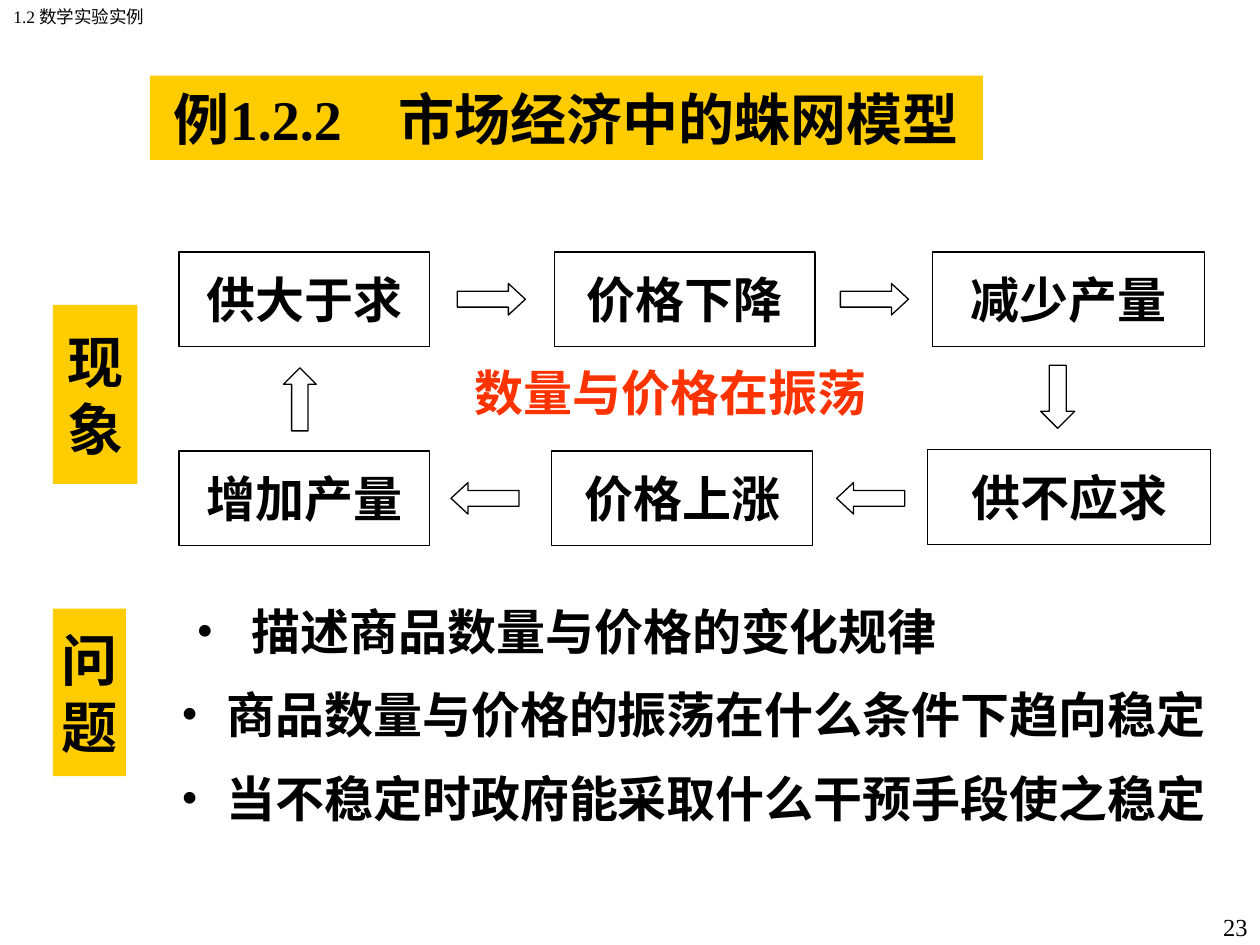
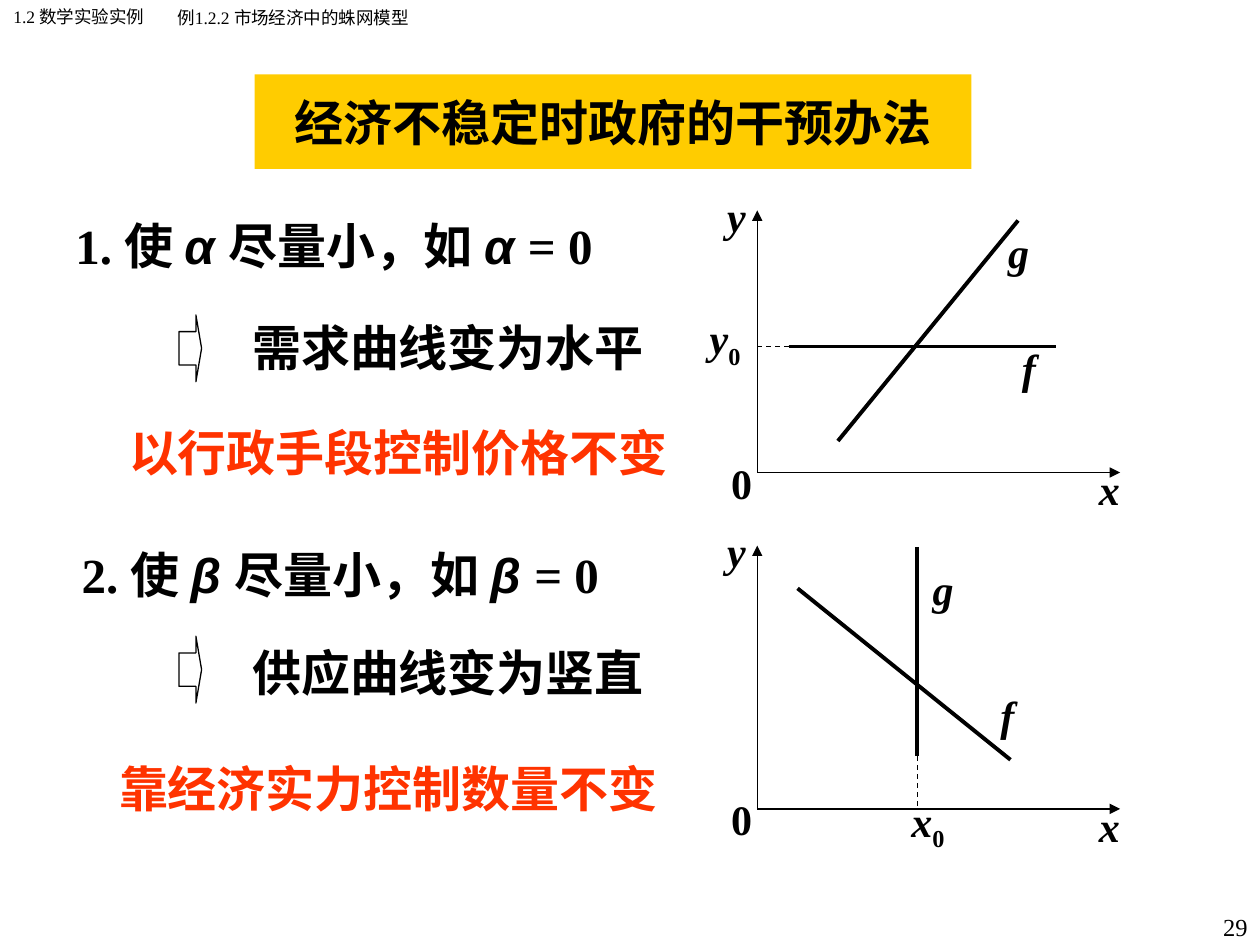
from dataclasses import dataclass

from lxml import etree
from pptx import Presentation
from pptx.dml.color import RGBColor
from pptx.enum.dml import MSO_LINE
from pptx.enum.shapes import MSO_CONNECTOR, MSO_SHAPE
from pptx.enum.text import MSO_ANCHOR, MSO_AUTO_SIZE, PP_ALIGN
from pptx.oxml.ns import qn
from pptx.util import Inches, Pt

LEFT, CENTER, RIGHT = PP_ALIGN.LEFT, PP_ALIGN.CENTER, PP_ALIGN.RIGHT
TOP, MIDDLE = MSO_ANCHOR.TOP, MSO_ANCHOR.MIDDLE
RECTANGLE = MSO_SHAPE.RECTANGLE
RIGHT_ARROW, LEFT_ARROW = MSO_SHAPE.RIGHT_ARROW, MSO_SHAPE.LEFT_ARROW
UP_ARROW, DOWN_ARROW = MSO_SHAPE.UP_ARROW, MSO_SHAPE.DOWN_ARROW
TITLE = "title"


@dataclass(frozen=True)
class Theme:
    ink: RGBColor = RGBColor(0x00, 0x00, 0x00)
    band: RGBColor = RGBColor(0xFF, 0xCC, 0x00)
    accent: RGBColor = RGBColor(0xFF, 0x33, 0x00)
    font: str = "Times New Roman"
    greek_font: str = "Arial"
    heading: int = 32
    body: int = 28
    label: int = 24
    number: int = 14
    header: int = 10
    thin: float = 0.75
    thick: float = 2.25


theme = Theme()


def add_box(page, frame, paragraphs=(), kind=None, size=theme.body, color=theme.ink,
            fill=None, outlined=False, align=CENTER, anchor=MIDDLE, wrap=False, bold=True):
    """Add a text box, preset shape or title; a paragraph is a list of (text, style)."""
    left, top, width, height = (Inches(value) for value in frame)
    if kind == TITLE:
        box = page.shapes.title
        box.left, box.top, box.width, box.height = left, top, width, height
    elif kind is None:
        box = page.shapes.add_textbox(left, top, width, height)
    else:
        box = page.shapes.add_shape(kind, left, top, width, height)
        box.shadow.inherit = False
    if fill is None:
        box.fill.background()
    else:
        box.fill.solid()
        box.fill.fore_color.rgb = fill
    if outlined:
        box.line.color.rgb = theme.ink
        box.line.width = Pt(theme.thin)
    else:
        box.line.fill.background()
    text_frame = box.text_frame
    text_frame.auto_size = MSO_AUTO_SIZE.NONE
    text_frame.word_wrap = wrap
    text_frame.vertical_anchor = anchor
    for index, runs in enumerate(paragraphs):
        para = text_frame.add_paragraph() if index else text_frame.paragraphs[0]
        para.alignment = align
        for text, style in [(runs, "")] if isinstance(runs, str) else runs:
            span = para.add_run()
            span.text = text
            span.font.name = theme.greek_font if style == "greek" else theme.font
            span.font.size = Pt(size)
            span.font.bold = bold
            span.font.italic = style in ("greek", "italic")
            span.font.color.rgb = color
            if style == "subscript":
                span.font._element.set("baseline", "-25000")
    return box


def add_line(page, start, end, width=theme.thin, arrow=False, dashed=False):
    line = page.shapes.add_connector(
        MSO_CONNECTOR.STRAIGHT, *(Inches(value) for value in (*start, *end)))
    line.line.color.rgb = theme.ink
    line.line.width = Pt(width)
    if dashed:
        line.line.dash_style = MSO_LINE.DASH
    if arrow:
        etree.SubElement(line.line._get_or_add_ln(), qn("a:tailEnd"), type="triangle")
    etree.SubElement(line._element.spPr, qn("a:effectLst"))


deck = Presentation()
deck.slide_width, deck.slide_height = Inches(10), Inches(7.5)
title_only = deck.slide_layouts[5]

# Shared title band, section header and page number
pages = []
for title, title_frame, title_size, number in [
    ("例1.2.2　市场经济中的蛛网模型", (1.19, 0.6, 6.61, 0.67), theme.heading, "23"),
    ("经济不稳定时政府的干预办法", (2.02, 0.59, 5.69, 0.75), theme.body, "29"),
]:
    page = deck.slides.add_slide(title_only)
    band = add_box(page, title_frame, [title], TITLE, title_size, fill=theme.band)
    band.text_frame.margin_left = band.text_frame.margin_right = 0
    add_box(page, (0, 0, 1.25, 0.44), ["1.2 数学实验实例"], size=theme.header,
            anchor=TOP, wrap=True, bold=False)
    add_box(page, (9.58, 7.19, 0.42, 0.31), [number], size=theme.number,
            align=RIGHT, anchor=TOP, wrap=True, bold=False)
    pages.append(page)
cobweb_page, policy_page = pages

# Side labels
for frame, characters in [((0.42, 2.42, 0.67, 1.42), "现象"),
                          ((0.42, 4.83, 0.58, 1.33), "问题")]:
    add_box(cobweb_page, frame, [[(character, "")] for character in characters],
            RECTANGLE, theme.heading, fill=theme.band)

# Cycle of supply and price
for text, left, top, width in [
    ("供大于求", 1.42, 2, 1.99), ("价格下降", 4.4, 2, 2.07), ("减少产量", 7.4, 2, 2.16),
    ("供不应求", 7.36, 3.57, 2.25), ("价格上涨", 4.38, 3.58, 2.07), ("增加产量", 1.42, 3.58, 1.99),
]:
    add_box(cobweb_page, (left, top, width, 0.75), [text], RECTANGLE, outlined=True)

for kind, left, top, width, height in [
    (RIGHT_ARROW, 3.63, 2.25, 0.54, 0.25), (RIGHT_ARROW, 6.67, 2.25, 0.54, 0.25),
    (DOWN_ARROW, 8.26, 2.9, 0.27, 0.5),
    (LEFT_ARROW, 6.64, 3.83, 0.54, 0.25), (LEFT_ARROW, 3.58, 3.83, 0.54, 0.25),
    (UP_ARROW, 2.25, 2.92, 0.26, 0.5),
]:
    arrow = add_box(cobweb_page, (left, top, width, height), kind=kind, outlined=True)
    arrow.adjustments[1] = 0.54 if width > height else 0.25 / height

add_box(cobweb_page, (3.67, 2.83, 3.51, 0.57), ["数量与价格在振荡"],
        color=theme.accent, align=LEFT, anchor=TOP, wrap=True)

# Questions
for text, left, top, height, hanging in [
    ("描述商品数量与价格的变化规律", 1.46, 4.67, 0.67, 0.44),
    ("商品数量与价格的振荡在什么条件下趋向稳定", 1.34, 5.33, 0.67, 0.36),
    ("当不稳定时政府能采取什么干预手段使之稳定", 1.34, 6.04, 0.58, 0.36),
]:
    box = add_box(cobweb_page, (left, top, 8.4, height), [text], align=LEFT, wrap=True)
    box.text_frame.margin_right = 0
    properties = box.text_frame.paragraphs[0]._p.get_or_add_pPr()
    properties.set("marL", str(Inches(hanging)))
    properties.set("indent", str(-Inches(hanging)))
    etree.SubElement(properties, qn("a:buFont"), typeface=theme.font)
    etree.SubElement(properties, qn("a:buChar"), char="•")

# Example name in the header of the second page
add_box(policy_page, (1.31, 0.01, 2.32, 0.27), ["例1.2.2 市场经济中的蛛网模型"],
        size=theme.header, align=LEFT, anchor=TOP, wrap=True, bold=False)

# Two policies: condition, consequence, measure
for number, greek, condition_frame, result, result_top, arrow_top, measure, measure_at in [
    ("1", "α", (0.5, 1.57, 4.56, 0.75), "需求曲线变为水平", 2.42, 2.5,
     "以行政手段控制价格不变", (0.75, 3.25)),
    ("2", "β", (0.55, 4.22, 4.64, 0.67), "供应曲线变为竖直", 5, 5.05,
     "靠经济实力控制数量不变", (0.67, 5.92)),
]:
    condition = [(f"{number}. 使 ", ""), (f"{greek} ", "greek"), ("尽量小，如 ", ""),
                 (f"{greek} ", "greek"), ("= 0", "")]
    add_box(policy_page, condition_frame, [condition], align=LEFT)
    add_box(policy_page, (1.68, result_top, 3.75, 0.67), [result])
    arrow = add_box(policy_page, (1.42, arrow_top, 0.18, 0.53), kind=RIGHT_ARROW, outlined=True)
    arrow.adjustments[1] = 0.25
    add_box(policy_page, (*measure_at, 4.82, 0.67), [measure], color=theme.accent)

# Axes with their labels
axis_left, axis_right = 6.01, 8.89
for axis_top, axis_bottom in [(1.67, 3.75), (4.33, 6.42)]:
    origin = (axis_left, axis_bottom)
    add_line(policy_page, origin, (axis_left, axis_top), arrow=True)
    add_line(policy_page, origin, (axis_right, axis_bottom), arrow=True)
    for text, style, frame in [
        ("x", "italic", (8.55, axis_bottom - 0.08, 0.51, 0.42)),
        ("y", "italic", (5.59, axis_top - 0.17, 0.51, 0.42)),
        ("0", "", (5.59, axis_bottom - 0.17, 0.59, 0.5)),
    ]:
        add_box(policy_page, frame, [[(text, style)]], size=theme.label)

# Demand and supply curves, with dashed guides to the axes
for start, end in [((6.26, 2.75), (8.38, 2.75)), ((6.65, 3.5), (8.08, 1.75)),
                   ((7.28, 4.34), (7.28, 6)), ((8.02, 6.03), (6.33, 4.67))]:
    add_line(policy_page, start, end, theme.thick)
for start, end in [((6.26, 2.75), (6.01, 2.75)), ((7.28, 6), (7.28, 6.42))]:
    add_line(policy_page, start, end, dashed=True)

# Curve names and equilibrium values
for name, left, top in [("g", 7.79, 1.75), ("f", 7.87, 2.67),
                        ("g", 7.19, 4.42), ("f", 7.7, 5.42)]:
    add_box(policy_page, (left, top, 0.59, 0.5), [[(name, "italic")]], size=theme.label)
for name, left, top in [("y", 5.5, 2.5), ("x", 7.11, 6.33)]:
    add_box(policy_page, (left, top, 0.51, 0.42),
            [[(name, "italic"), ("0", "subscript")]], size=theme.label)

deck.save("out.pptx")
